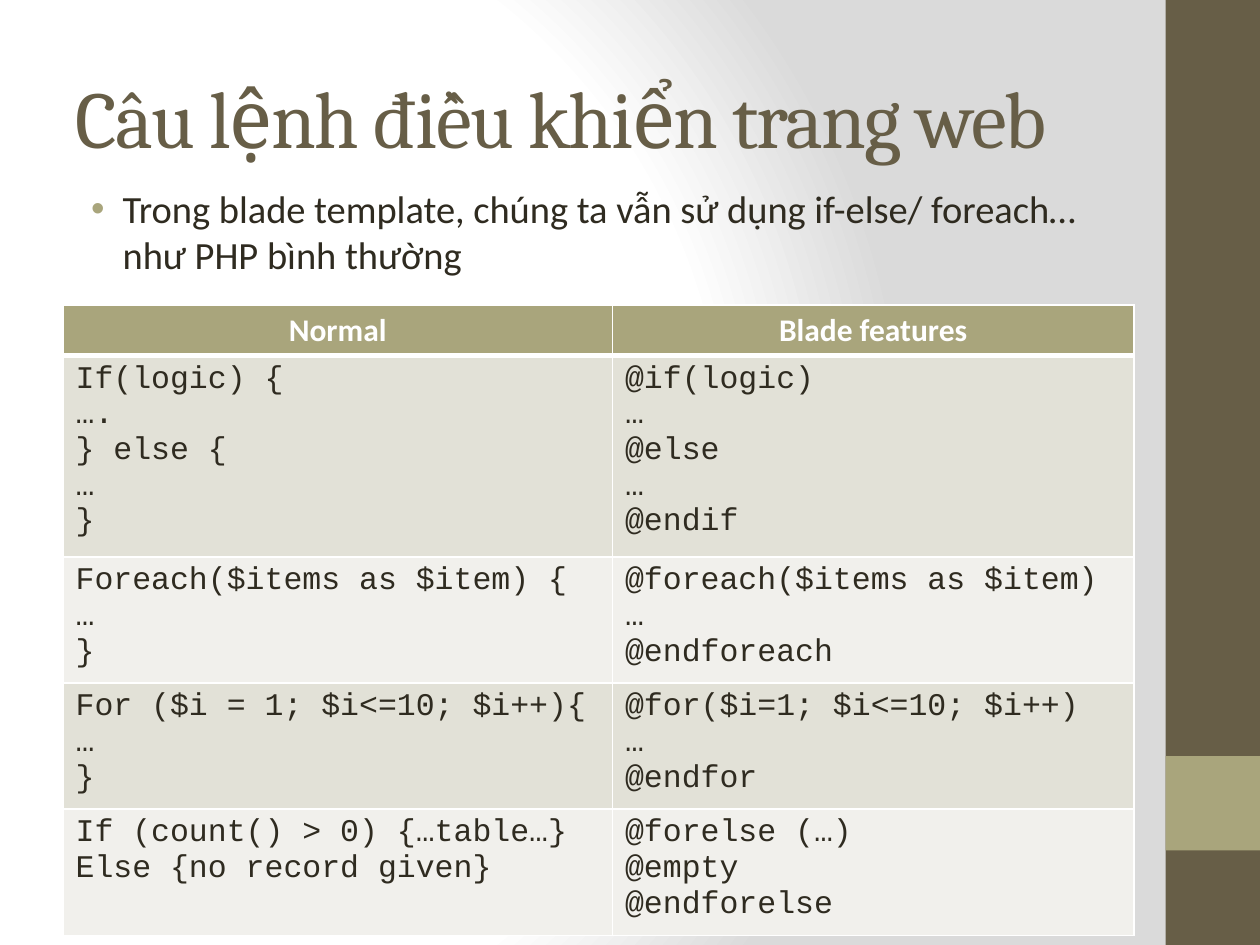
import pptx
import pptx.dml.color
import pptx.enum.shapes
import pptx.enum.text
import pptx.oxml
import pptx.oxml.ns
import pptx.util

Pt = pptx.util.Pt
RGBColor = pptx.dml.color.RGBColor
PP_ALIGN = pptx.enum.text.PP_ALIGN

BROWN = RGBColor(0x67, 0x5E, 0x47)
OLIVE = RGBColor(0xA9, 0xA5, 0x7C)
INK = RGBColor(0x2F, 0x2B, 0x20)
WHITE = RGBColor(0xFF, 0xFF, 0xFF)
GREY = RGBColor(0xDA, 0xDA, 0xDA)
BAND_DARK = RGBColor(0xE2, 0xE1, 0xD7)
BAND_LIGHT = RGBColor(0xF1, 0xF0, 0xEC)

TITLE_FONT = {"name": "Cambria", "size": Pt(46), "bold": False}
BODY_FONT = {"name": "Calibri", "size": Pt(22)}
HEADER_FONT = {"name": "Calibri", "size": Pt(18), "bold": True}
CODE_FONT = {"name": "Courier New", "size": Pt(18), "bold": False}

COLUMN_WIDTHS = (314, 298)
ROW_HEIGHTS = (28, 107.3, 67, 67, 67)
HEADERS = ("Normal", "Blade features")
COMPARISONS = (
    ("If(logic) {\n….\n} else {\n…\n}", "@if(logic)\n…\n@else\n…\n@endif"),
    ("Foreach($items as $item) {\n…\n}", "@foreach($items as $item)\n…\n@endforeach"),
    ("For ($i = 1; $i<=10; $i++){\n…\n}", "@for($i=1; $i<=10; $i++)\n…\n@endfor"),
    ("If (count() > 0) {…table…}\nElse {no record given}", "@forelse (…)\n@empty\n@endforelse"),
)


def drawing_xml(markup):
    tag, rest = markup.split(" ", 1)
    return pptx.oxml.parse_xml(f"{tag} {pptx.oxml.ns.nsdecls('a')} {rest}")


def apply_format(target, values):
    for key, value in values.items():
        setattr(target, key, value)


def format_text(frame, font, color, alignment=PP_ALIGN.LEFT):
    for paragraph in frame.paragraphs:
        paragraph.alignment = alignment
        for run in paragraph.runs:
            apply_format(run.font, font)
            run.font.color.rgb = color


def place(shape, left, top, width, height):
    bounds = {"left": left, "top": top, "width": width, "height": height}
    apply_format(shape, {key: Pt(value) for key, value in bounds.items()})


def paint_background(slide):
    slide.background.fill.gradient()
    linear = slide.element.xpath("./p:cSld/p:bg/p:bgPr/a:gradFill")[0]
    stops = "".join(
        f'<a:gs pos="{percent * 1000}"><a:srgbClr val="{color}"/></a:gs>'
        for percent, color in ((0, WHITE), (75, WHITE), (100, GREY))
    )
    radial = drawing_xml(
        f'<a:gradFill rotWithShape="1"><a:gsLst>{stops}</a:gsLst><a:path path="circle">'
        '<a:fillToRect l="20000" t="50000" r="100000" b="50000"/></a:path></a:gradFill>'
    )
    linear.getparent().replace(linear, radial)


def add_band(slide, top, height, color):
    band = slide.shapes.add_shape(
        pptx.enum.shapes.MSO_SHAPE.RECTANGLE, Pt(666), Pt(top), Pt(54), Pt(height)
    )
    band.shadow.inherit = False
    band.fill.solid()
    band.fill.fore_color.rgb = color
    band.line.fill.background()


def write_title(slide, text):
    title = slide.shapes.title
    place(title, 36, 21.6, 600, 90)
    frame = title.text_frame
    frame.text = text
    apply_format(frame, {
        "word_wrap": True,
        "auto_size": pptx.enum.text.MSO_AUTO_SIZE.NONE,
        "vertical_anchor": pptx.enum.text.MSO_ANCHOR.MIDDLE,
    })
    format_text(frame, TITLE_FONT, BROWN)
    frame.paragraphs[0].runs[0].font._element.set("spc", "-100")


def add_bullet(slide, text):
    frame = slide.shapes.add_textbox(Pt(36), Pt(102), Pt(612), Pt(378)).text_frame
    frame.word_wrap = True
    frame.text = text
    format_text(frame, BODY_FONT, INK)
    paragraph = frame.paragraphs[0]
    paragraph.space_before = Pt(4.4)
    properties = paragraph._p.get_or_add_pPr()
    properties.set("marL", str(Pt(27)))
    properties.set("indent", str(Pt(-18)))
    for markup in (
        f'<a:buClr ><a:srgbClr val="{OLIVE}"/></a:buClr>',
        '<a:buFont typeface="Arial"/>',
        '<a:buChar char="•"/>',
    ):
        properties.append(drawing_xml(markup))


def set_borders(cell, bottom_width):
    widths = {"L": 1, "R": 1, "T": 1, "B": bottom_width}
    properties = cell._tc.get_or_add_tcPr()
    for index, (side, width) in enumerate(widths.items()):
        properties.insert(index, drawing_xml(
            f'<a:ln{side} w="{Pt(width)}"><a:solidFill><a:srgbClr val="{WHITE}"/>'
            f"</a:solidFill></a:ln{side}>"
        ))


def fill_cell(cell, text, font, color, background, alignment, bottom_width):
    cell.text = text
    format_text(cell.text_frame, font, color, alignment)
    cell.fill.solid()
    cell.fill.fore_color.rgb = background
    set_borders(cell, bottom_width)


def add_comparison_table(slide):
    table = slide.shapes.add_table(
        len(ROW_HEIGHTS), len(COLUMN_WIDTHS), Pt(36), Pt(174.3),
        Pt(sum(COLUMN_WIDTHS)), Pt(sum(ROW_HEIGHTS)),
    ).table
    for column, width in zip(table.columns, COLUMN_WIDTHS):
        column.width = Pt(width)
    for row, height in zip(table.rows, ROW_HEIGHTS):
        row.height = Pt(height)
    for column, header in enumerate(HEADERS):
        fill_cell(table.cell(0, column), header, HEADER_FONT, WHITE, OLIVE, PP_ALIGN.CENTER, 3)
    for row, snippets in enumerate(COMPARISONS, start=1):
        background = BAND_DARK if row % 2 else BAND_LIGHT
        for column, snippet in enumerate(snippets):
            fill_cell(table.cell(row, column), snippet, CODE_FONT, INK, background, PP_ALIGN.LEFT, 1)
    for column in range(len(COLUMN_WIDTHS)):
        first_code = table.cell(1, column)._tc.tcPr
        first_code.find(pptx.oxml.ns.qn("a:lnT")).set("w", str(Pt(3)))


def main():
    presentation = pptx.Presentation()
    apply_format(presentation, {"slide_width": Pt(720), "slide_height": Pt(540)})
    slide = presentation.slides.add_slide(presentation.slide_layouts[5])
    paint_background(slide)
    add_band(slide, 0, 540, BROWN)
    add_band(slide, 432, 54, OLIVE)
    write_title(slide, "Câu lệnh điều khiển trang web")
    add_bullet(
        slide,
        "Trong blade template, chúng ta vẫn sử dụng if-else/ foreach… như PHP bình thường",
    )
    add_comparison_table(slide)
    presentation.save("out.pptx")


if __name__ == "__main__":
    main()
